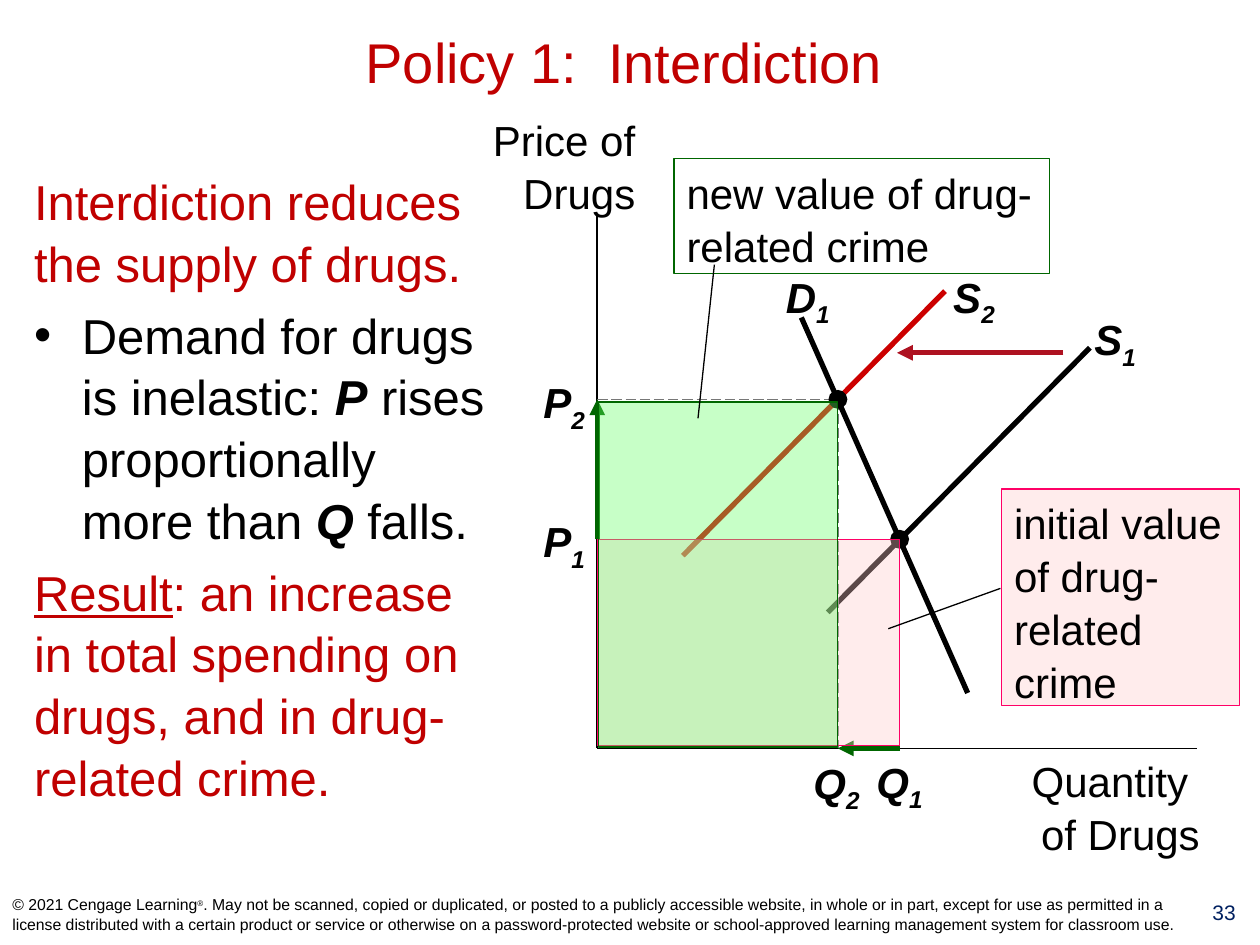
from lxml.etree import SubElement
from pptx import Presentation
from pptx.dml.color import RGBColor as Rgb
from pptx.enum.dml import MSO_LINE as Dash
from pptx.enum.shapes import MSO_CONNECTOR as Link, MSO_SHAPE as Shape
from pptx.enum.text import MSO_ANCHOR as Anchor, MSO_AUTO_SIZE as Fit, PP_ALIGN as Align
from pptx.oxml.ns import qn
from pptx.util import Inches, Pt

THEME = {
    "font": "Arial",
    "black": "000000", "red": "C00000", "navy": "002060", "guide": "777777",
    "supply": "CC0000", "shift": "AE1221", "green": "006600", "pink": "FF0066",
    "pink fill": "FFCCCC", "green fill": "66FF66",
    "title": 32, "body": 28, "label": 24, "number": 12, "notice": 9, "mark": 8,
}
BOLD = {"bold": True, "italic": True}

deck = Presentation()
deck.slide_width, deck.slide_height = Inches(10), Inches(7.5)
page = deck.slides.add_slide(deck.slide_layouts[1])
cell = deck.slide_width // 10  # grid of 10 columns by 7.5 rows


def write(box, spans, size, color="black", align=Align.LEFT, para=None):
    """Fill a paragraph with (text, format) spans."""
    frame = box.text_frame
    frame.word_wrap = True
    para = para or frame.paragraphs[0]
    for name, value in {"alignment": align, "line_spacing": 1.05}.items():
        setattr(para, name, value)
    for text, extra in spans:
        look = {"name": THEME["font"], "size": Pt(THEME[size]), "bold": False,
                "italic": False, **extra}
        baseline = look.pop("baseline", None)
        for index, part in enumerate(text.split("\v")):
            if index:
                para.add_line_break()
            span = para.add_run()
            span.text = part
            for name, value in look.items():
                setattr(span.font, name, value)
            span.font.color.rgb = Rgb.from_string(THEME[color])
            if baseline:
                span.font._element.set("baseline", str(baseline * 1000))


def draw_line(x1, y1, x2, y2, color="black", width=0.75, dash=None, arrow=False):
    """Draw a straight line between two grid points."""
    line = page.shapes.add_connector(
        Link.STRAIGHT, *(round(n * cell) for n in (x1, y1, x2, y2)))
    line.line.color.rgb = Rgb.from_string(THEME[color])
    line.line.width = Pt(width)
    if dash:
        line.line.dash_style = dash
    if arrow:
        SubElement(line.line._get_or_add_ln(), qn("a:tailEnd"), type="triangle")
    SubElement(line._element.spPr, qn("a:effectLst"))


# Title and body placeholders
title, body = page.shapes.title, page.placeholders[1]
for box, place in ((title, (0.08, 0.11, 9.75, 0.72)), (body, (0.17, 1.29, 3.9, 5.79))):
    box.left, box.top, box.width, box.height = (round(n * cell) for n in place)
    box.text_frame.auto_size = Fit.NONE
title.text_frame.vertical_anchor = Anchor.MIDDLE
body.text_frame.vertical_anchor = Anchor.TOP
write(title, [("Policy 1:  Interdiction", {})], "title", "red", Align.CENTER)
title.text_frame.word_wrap = False

points = [
    ("red", False, [("Interdiction reduces the supply of drugs.", {})]),
    ("black", True, [("Demand for drugs is inelastic: ", {}), ("P", BOLD),
                     (" rises proportionally more than ", {}), ("Q", BOLD),
                     (" falls.", {})]),
    ("red", False, [("Result", {"underline": True}),
                    (": an increase in total spending on drugs, and in "
                     "drug-related crime.", {})]),
]
for index, (color, bullet, spans) in enumerate(points):
    para = body.text_frame.add_paragraph() if index else body.text_frame.paragraphs[0]
    indent = round(0.38 * cell) if bullet else 0
    props = para._p.get_or_add_pPr()
    props.set("marL", str(indent))
    props.set("indent", str(-indent))
    para.space_before = Pt(5.6 if index else 0)
    if bullet:
        SubElement(props, qn("a:buFont"), typeface=THEME["font"])
        SubElement(props, qn("a:buChar"), char="•")
    else:
        SubElement(props, qn("a:buNone"))
    write(body, spans, "body", color, para=para)

# Axes and curves
axis, base = 4.74, 5.94
equilibria = [(7.14, 4.28), (6.65, 3.17)]
(q1, p1), (q2, p2) = equilibria
draw_line(6.36, 2.52, 7.68, 5.5, width=3)
draw_line(axis, 1.71, axis, base, width=1)
draw_line(axis, base, 9.5, base, width=1)
for x, y, color in ((6.57, 4.86, "black"), (5.42, 4.41, "supply")):
    draw_line(x, y, x + 2.08, y - 2.1, color, 3)

# Equilibrium points with their guides
dot = 0.15
for quantity, price in equilibria:
    draw_line(axis, price, quantity, price, "guide", dash=Dash.LONG_DASH)
    draw_line(quantity, price, quantity, base, "guide", dash=Dash.LONG_DASH)
    point = page.shapes.add_shape(Shape.OVAL, *(
        round(n * cell) for n in (quantity - dot / 2, price - dot / 2, dot, dot)))
    point.shadow.inherit = False
    point.fill.solid()
    point.fill.fore_color.rgb = Rgb.from_string(THEME["black"])
    point.line.fill.background()

# Shift arrows
draw_line(8.44, 2.8, 7.12, 2.8, "shift", 3, arrow=True)
draw_line(q1, base, q2, base, "green", 3, arrow=True)
draw_line(axis, p1, axis, p2, "green", 3, arrow=True)

# Spending areas and callouts
panels = [
    ((axis, p1, q1 - axis, 1.64), "pink fill", "pink", None),
    ((4.75, 3.19, 1.9, 2.74), "green fill", "green", None),
    ((5.35, 1.26, 2.98, 0.91), None, "green", "new value of drug-related crime"),
    ((7.95, 3.88, 1.89, 1.72), "pink fill", "pink", "initial value of drug-related crime"),
]
for place, fill, edge, text in panels:
    panel = page.shapes.add_shape(Shape.RECTANGLE, *(round(n * cell) for n in place))
    panel.shadow.inherit = False
    panel.line.color.rgb = Rgb.from_string(THEME[edge])
    panel.line.width = Pt(0.75)
    if fill:
        panel.fill.solid()
        panel.fill.fore_color.rgb = Rgb.from_string(THEME[fill])
        tint = panel._element.spPr.find(qn("a:solidFill")).find(qn("a:srgbClr"))
        SubElement(tint, qn("a:alpha"), val="36000")
    else:
        panel.fill.background()
    if text:
        panel.text_frame.vertical_anchor = Anchor.TOP
        write(panel, [(text, {})], "label")
draw_line(5.67, 2.1, 5.54, 3.32)
draw_line(7.05, 4.99, 7.94, 4.67)

# Curve, price, quantity and axis labels, page number and notice
labels = [((x, y, width, 0.5), [(letter, BOLD), (digit, {**BOLD, "baseline": -25})],
           "label", "black", align)
          for letter, digit, x, y, width, align in (
              ("D", "1", 6.05, 2.08, 0.72, Align.CENTER),
              ("S", "1", 8.54, 2.42, 0.62, Align.CENTER),
              ("S", "2", 7.37, 2.08, 0.72, Align.CENTER),
              ("P", "1", 4.07, 4.02, 0.67, Align.RIGHT),
              ("P", "2", 4.09, 2.92, 0.65, Align.RIGHT),
              ("Q", "1", 6.84, 5.93, 0.6, Align.CENTER),
              ("Q", "2", 6.32, 5.94, 0.64, Align.CENTER))]
notice = [
    ("© 2021 Cengage Learning", {}),
    ("®", {"size": Pt(THEME["mark"]), "baseline": 30}),
    (". May not be scanned, copied or duplicated, or posted to a publicly accessible "
     "website, in whole or in part, except for use as permitted in a license distributed "
     "with a certain product or service or otherwise on a password-protected website or "
     "school-approved learning management system for classroom use.", {}),
]
labels += [
    ((3.66, 0.84, 1.48, 0.91), [("Price of Drugs", {})], "label", "black", Align.RIGHT),
    ((8, 5.93, 1.62, 0.91), [("Quantity \vof Drugs", {})], "label", "black", Align.RIGHT),
    ((9.43, 7.08, 0.57, 0.41), [("33", {})], "number", "navy", Align.CENTER),
    ((0, 7, 9.5, 0.5), notice, "notice", "black", Align.LEFT),
]
for place, spans, size, color, align in labels:
    box = page.shapes.add_textbox(*(round(n * cell) for n in place))
    box.text_frame.vertical_anchor = Anchor.MIDDLE if size == "notice" else Anchor.TOP
    write(box, spans, size, color, align)

deck.save("out.pptx")
